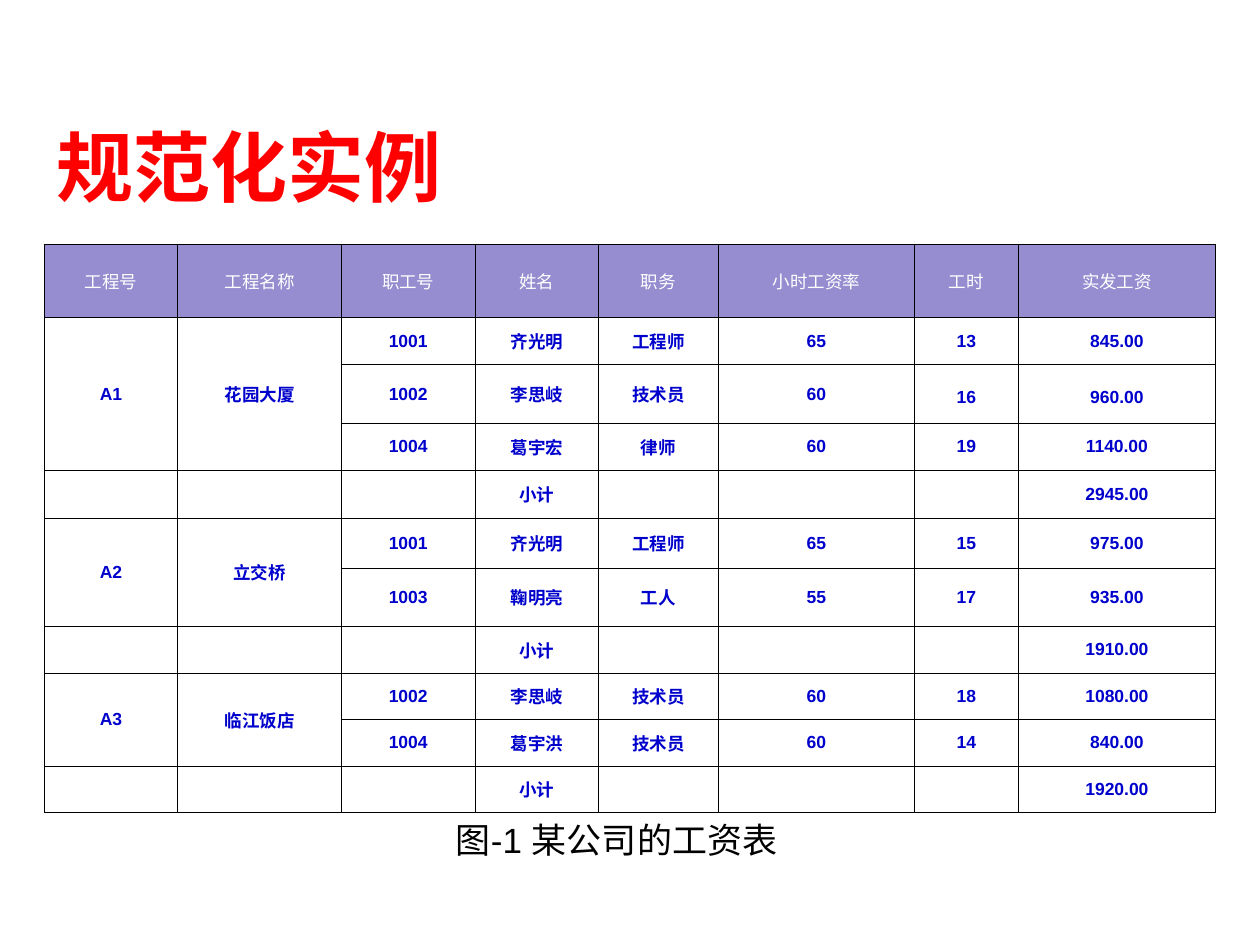
from lxml import etree
from pptx import Presentation, util as u
from pptx.dml.color import RGBColor
from pptx.enum import text
from pptx.oxml.ns import qn

COLORS = {"title": "FF0000", "header": "958DCF", "header_text": "FFFFFF",
          "body": "0000CC", "ink": "000000"}
CJK = "Noto Sans CJK SC"
FORMATS = {
    "title": {"size": u.Pt(44), "name": "Arial", "bold": True},
    "header_text": {"size": u.Pt(10), "name": CJK, "bold": False},
    "body": {"size": u.Pt(10), "name": "Arial", "bold": True},
    "ink": {"size": u.Pt(20), "name": "Arial", "bold": False},
}
COLS = [1.06, 1.3, 1.06, 0.98, 0.95, 1.56, 0.82, 1.57]
ROWS = [0.58, 0.37, 0.47, 0.37, 0.38, 0.4, 0.46, 0.37, 0.37, 0.37, 0.37]
HEADERS = ["工程号", "工程名称", "职工号", "姓名", "职务", "小时工资率", "工时", "实发工资"]
PROJECTS = [
    ("A1", "花园大厦", [
        ("1001", "齐光明", "工程师", "65", "13", "845.00"),
        ("1002", "李思岐", "技术员", "60", "16", "960.00"),
        ("1004", "葛宇宏", "律师", "60", "19", "1140.00")], "2945.00"),
    ("A2", "立交桥", [
        ("1001", "齐光明", "工程师", "65", "15", "975.00"),
        ("1003", "鞠明亮", "工人", "55", "17", "935.00")], "1910.00"),
    ("A3", "临江饭店", [
        ("1002", "李思岐", "技术员", "60", "18", "1080.00"),
        ("1004", "葛宇洪", "技术员", "60", "14", "840.00")], "1920.00"),
]


def write(p, words, style):
    if not words:
        p._p.get_or_add_endParaRPr().set("sz", str(int(FORMATS[style]["size"].pt * 100)))
        return
    r = p.add_run()
    r.text = words
    for key, value in FORMATS[style].items():
        setattr(r.font, key, value)
    r.font.color.rgb = RGBColor.from_string(COLORS[style])
    etree.SubElement(r._r.get_or_add_rPr(), qn("a:ea"), typeface=CJK)


def border(cell):
    for side in ("a:lnL", "a:lnR", "a:lnT", "a:lnB"):
        ln = etree.SubElement(cell._tc.get_or_add_tcPr(), qn(side), w=str(u.Pt(0.45)))
        fill = etree.SubElement(ln, qn("a:solidFill"))
        etree.SubElement(fill, qn("a:srgbClr"), val=COLORS["ink"])


prs = Presentation()
prs.slide_width, prs.slide_height = u.Inches(10), u.Inches(7.5)
W, H = prs.slide_width, prs.slide_height
s = prs.slides.add_slide(prs.slide_layouts[6])
left = int(W * 0.035)

sp = s.shapes.add_textbox(left, int(H * 0.11), int(W * 0.9), int(H * 0.13))
tf = sp.text_frame
tf.word_wrap = True
tf.vertical_anchor = text.MSO_ANCHOR.MIDDLE
write(tf.paragraphs[0], "规范化实例", "title")

grid = [HEADERS]
spans = []
for code, name, staff, total in PROJECTS:
    spans.append((len(grid), len(grid) + len(staff) - 1))
    for i, record in enumerate(staff):
        grid.append([*((code, name) if i == 0 else ("", "")), *record])
    grid.append(["", "", "", "小计", "", "", "", total])

table = s.shapes.add_table(len(ROWS), len(COLS), left, int(H * 0.259),
                           u.Inches(sum(COLS)), u.Inches(sum(ROWS))).table
table.first_row = table.horz_banding = False
for column, width in zip(table.columns, COLS):
    column.width = u.Inches(width)
for row, height in zip(table.rows, ROWS):
    row.height = u.Inches(height)

for i, record in enumerate(grid):
    for j, words in enumerate(record):
        cell = table.cell(i, j)
        cell.vertical_anchor = text.MSO_ANCHOR.MIDDLE
        border(cell)
        if i == 0:
            cell.fill.solid()
            cell.fill.fore_color.rgb = RGBColor.from_string(COLORS["header"])
        else:
            cell.fill.background()
        p = cell.text_frame.paragraphs[0]
        p.alignment = text.PP_ALIGN.CENTER
        if i == 2 and j >= 6:
            p.line_spacing = 1.4
        write(p, words, "body" if i else "header_text")

for first, last in spans:
    for j in range(2):
        table.cell(first, j).merge(table.cell(last, j))

sp = s.shapes.add_textbox(int(W * 0.352), int(H * 0.868), int(W * 0.3), int(H * 0.05))
tf = sp.text_frame
tf.word_wrap = True
tf.auto_size = text.MSO_AUTO_SIZE.NONE
p = tf.paragraphs[0]
p.line_spacing = 0.8
write(p, "图-1 某公司的工资表", "ink")

prs.save("out.pptx")
